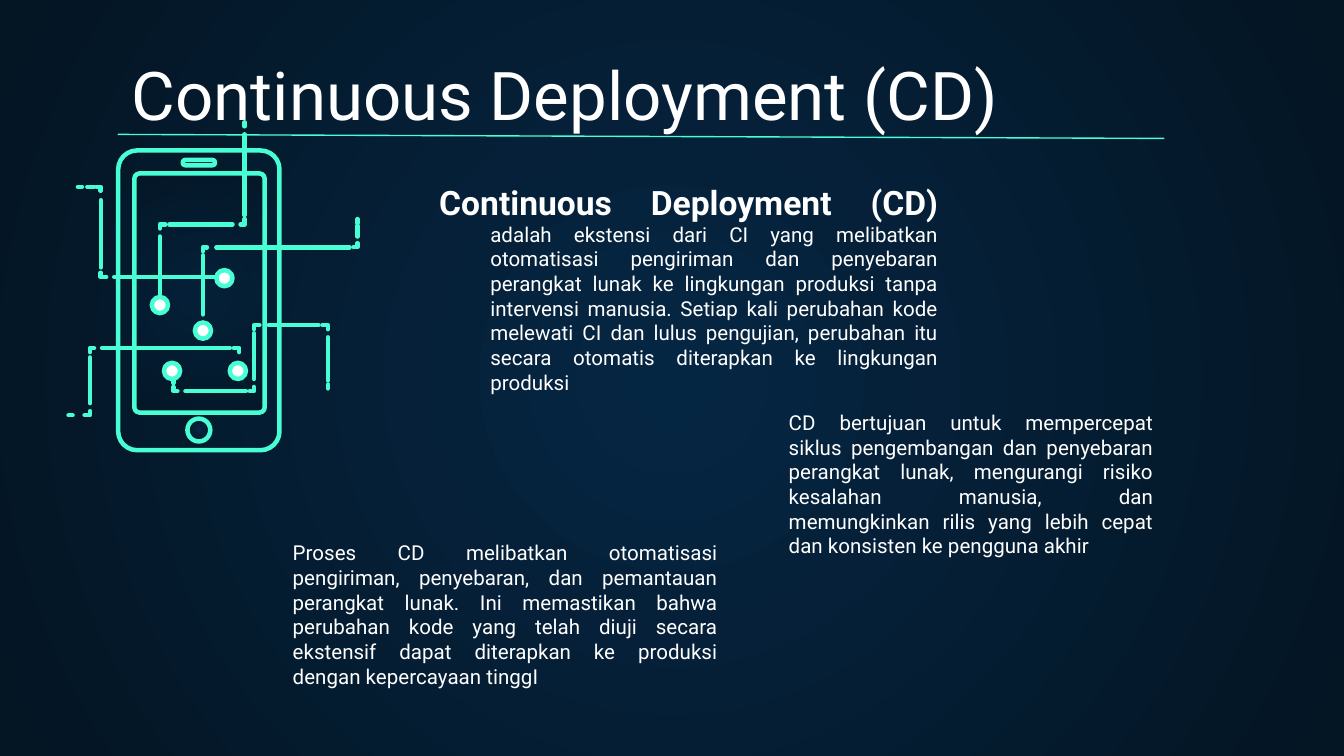
from dataclasses import dataclass

from lxml import etree
from pptx import Presentation
from pptx import util as u
from pptx.dml.color import RGBColor
from pptx.enum import shapes, text
from pptx.oxml.ns import qn


@dataclass(frozen=True)
class Theme:
    """Colours, type sizes and line weights of the slide."""
    font: str = "Roboto"
    ink: str = "FFFFFF"
    neon: str = "48FFD5"
    speaker: str = "161234"
    glow: tuple = ("052643", "041523")
    title: float = 36
    lead: float = 18
    body: float = 11
    rule: float = 0.75
    trace: float = 2.4


def write(paragraph, words, *, theme, size, bold=False):
    """Add a formatted run to a paragraph."""
    run = paragraph.add_run()
    run.text = words
    run.font.name = theme.font
    run.font.size = u.Pt(size)
    run.font.bold = bold
    run.font.color.rgb = RGBColor.from_string(theme.ink)


class Deck:
    """Draws the elements of the current slide in one style."""

    def __init__(self, theme, slide):
        self.theme = theme
        self.slide = slide

    def radial(self, fill, owner, alpha=100):
        """Fill with the glow that spreads from the centre."""
        fill.gradient()
        for stop, colour in zip(fill.gradient_stops, self.theme.glow):
            stop.color.rgb = RGBColor.from_string(colour)
        gradient = next(owner.iter(qn("a:gradFill")))
        for linear in gradient.findall(qn("a:lin")):
            gradient.remove(linear)
        circle = etree.SubElement(gradient, qn("a:path"), path="circle")
        etree.SubElement(circle, qn("a:fillToRect"), dict.fromkeys("ltrb", "50000"))
        if alpha < 100:
            for colour in gradient.iter(qn("a:srgbClr")):
                etree.SubElement(colour, qn("a:alpha"), val=str(alpha * 1000))

    def stroke(self, item, weight):
        """Give an item a neon outline with round ends."""
        item.line.color.rgb = RGBColor.from_string(self.theme.neon)
        item.line.width = u.Pt(weight)
        item.element.spPr.find(qn("a:ln")).set("cap", "rnd")

    def title(self, words, left, top, width, height):
        """Place and fill the title placeholder."""
        heading = self.slide.shapes.title
        heading.left, heading.top = u.Inches(left), u.Inches(top)
        heading.width, heading.height = u.Inches(width), u.Inches(height)
        paragraph = self.frame(heading, text.MSO_ANCHOR.BOTTOM)
        paragraph.alignment = text.PP_ALIGN.LEFT
        write(paragraph, words, theme=self.theme, size=self.theme.title)

    def frame(self, holder, anchor):
        """Set up a text frame and return its first paragraph."""
        body = holder.text_frame
        body.word_wrap = True
        body.auto_size = text.MSO_AUTO_SIZE.NONE
        body.vertical_anchor = anchor
        body.margin_left = body.margin_right = u.Inches(0.1)
        body.margin_top = body.margin_bottom = u.Inches(0.1)
        return body.paragraphs[0]

    def passage(self, words, left, top, width, lead=""):
        """Add a justified paragraph, hanging when it has a bold lead."""
        holder = self.slide.shapes.add_textbox(
            *map(u.Inches, (left, top, width, 1.55)))
        paragraph = self.frame(holder, text.MSO_ANCHOR.TOP)
        paragraph.alignment = text.PP_ALIGN.JUSTIFY
        hang = u.Inches(-0.38) if lead else 0
        properties = paragraph._p.get_or_add_pPr()
        properties.set("marL", str(u.Inches(0.5)))
        properties.set("indent", str(hang))
        if lead:
            write(paragraph, lead, theme=self.theme, size=self.theme.lead, bold=True)
        write(paragraph, words, theme=self.theme, size=self.theme.body)

    def line(self, start, end, weight):
        """Add a straight neon line."""
        stretch = self.slide.shapes.add_connector(
            shapes.MSO_CONNECTOR.STRAIGHT, *map(u.Inches, (*start, *end)))
        self.stroke(stretch, weight)
        etree.SubElement(stretch.element.spPr, qn("a:effectLst"))

    def bend(self, *points):
        """Add an open corner of a circuit trace."""
        start, *others = [(u.Inches(x), u.Inches(y)) for x, y in points]
        builder = self.slide.shapes.build_freeform(*start)
        builder.add_line_segments(others, close=False)
        corner = builder.convert_to_shape()
        corner.shadow.inherit = False
        corner.fill.background()
        self.stroke(corner, self.theme.trace)

    def circuit(self, dashes):
        """Draw the dashes and corners of one circuit trace."""
        for dash in dashes:
            if len(dash) == 2:
                self.line(*dash, self.theme.trace)
            else:
                self.bend(*dash)

    def panel(self, left, top, width, height, radius):
        """Add a rounded outline and return it."""
        outline = self.slide.shapes.add_shape(
            shapes.MSO_SHAPE.ROUNDED_RECTANGLE,
            *map(u.Inches, (left, top, width, height)))
        outline.adjustments[0] = radius / min(width, height)
        outline.shadow.inherit = False
        outline.fill.background()
        self.stroke(outline, self.theme.trace)
        return outline

    def ring(self, x, y, diameter):
        """Add a white circle around a centre and return it."""
        disc = self.slide.shapes.add_shape(
            shapes.MSO_SHAPE.OVAL, u.Inches(x - diameter / 2),
            u.Inches(y - diameter / 2), u.Inches(diameter), u.Inches(diameter))
        disc.shadow.inherit = False
        disc.fill.solid()
        disc.fill.fore_color.rgb = RGBColor.from_string(self.theme.ink)
        self.stroke(disc, self.theme.trace)
        return disc


CIRCUITS = (
    (((1.29, 2.82), (1.29, 2.85)), ((1.29, 2.88), (1.29, 2.91), (1.32, 2.91)),
     ((1.38, 2.91), (1.83, 2.91)), ((1.86, 2.91), (1.89, 2.91), (1.89, 2.88)),
     ((1.89, 2.82), (1.89, 2.48)), ((1.89, 2.45), (1.89, 2.42), (1.93, 2.42)),
     ((2, 2.42), (2.37, 2.42)), ((2.4, 2.42), (2.44, 2.42), (2.44, 2.45)),
     ((2.44, 2.51), (2.44, 2.83)), ((2.44, 2.86), (2.44, 2.89))),
    (((0.58, 1.39), (0.61, 1.39)), ((0.65, 1.39), (0.7, 1.39)),
     ((0.72, 1.39), (0.75, 1.39), (0.75, 1.42)), ((0.75, 1.49), (0.75, 1.99)),
     ((0.75, 2.03), (0.75, 2.06), (0.79, 2.06)), ((0.85, 2.06), (1.6, 2.06)),
     ((1.63, 2.06), (1.66, 2.06))),
    (((0.51, 3.09), (0.54, 3.09)), ((0.63, 3.09), (0.67, 3.09), (0.67, 3.06)),
     ((0.67, 3), (0.67, 2.66)), ((0.67, 2.62), (0.67, 2.59), (0.7, 2.59)),
     ((0.76, 2.59), (1.71, 2.59)), ((1.74, 2.59), (1.78, 2.59), (1.78, 2.62)),
     ((1.78, 2.71), (1.78, 2.74))),
    (((1.51, 2.44), (1.51, 2.4)), ((1.51, 2.34), (1.51, 1.9)),
     ((1.51, 1.87), (1.51, 1.84), (1.54, 1.84)), ((1.61, 1.84), (2.6, 1.84)),
     ((2.63, 1.84), (2.66, 1.84), (2.66, 1.81)), ((2.66, 1.76), (2.66, 1.68)),
     ((2.66, 1.66), (2.66, 1.63))),
    (((1.82, 0.91), (1.82, 0.94)), ((1.82, 1), (1.82, 1.6)),
     ((1.82, 1.63), (1.82, 1.67), (1.79, 1.67)), ((1.73, 1.67), (1.26, 1.67)),
     ((1.23, 1.67), (1.19, 1.67), (1.19, 1.7)), ((1.19, 1.76), (1.19, 2.21)),
     ((1.19, 2.24), (1.19, 2.27))),
)
NODES = ((1.28, 2.76), (1.67, 2.07), (1.77, 2.76), (1.51, 2.46), (1.19, 2.27))


def main():
    """Build the slide and save it."""
    show = Presentation()
    show.slide_width, show.slide_height = u.Inches(10), u.Inches(10 * 9 / 16)
    theme = Theme()
    deck = Deck(theme, show.slides.add_slide(show.slide_layouts[5]))
    deck.radial(deck.slide.background.fill, deck.slide.element)
    deck.title("Continuous Deployment (CD)", 0.88, 0.44, 7.3, 0.66)
    deck.line((0.88, 1), (8.66, 1.03), theme.rule)

    deck.panel(0.88, 1.12, 1.2, 2.23, 0.14)
    screen = deck.panel(1, 1.29, 0.97, 1.78, 0.04)
    deck.radial(screen.fill, screen.element, alpha=53)
    button = deck.ring(1.48, 3.2, 0.17)
    deck.radial(button.fill, button.element)
    speaker = deck.panel(1.36, 1.19, 0.24, 0.04, 0.02)
    speaker.fill.solid()
    speaker.fill.fore_color.rgb = RGBColor.from_string(theme.speaker)
    for dashes, node in zip(CIRCUITS, NODES):
        deck.circuit(dashes)
        deck.ring(*node, 0.12)

    deck.passage("adalah ekstensi dari CI yang melibatkan otomatisasi pengiriman dan penyebaran perangkat lunak ke lingkungan produksi tanpa intervensi manusia. Setiap kali perubahan kode melewati CI dan lulus pengujian, perubahan itu secara otomatis diterapkan ke lingkungan produksi", 3.05, 1.25, 4.03, lead="Continuous Deployment (CD) ")
    deck.passage("Proses CD melibatkan otomatisasi pengiriman, penyebaran, dan pemantauan perangkat lunak. Ini memastikan bahwa perubahan kode yang telah diuji secara ekstensif dapat diterapkan ke produksi dengan kepercayaan tinggI", 1.58, 3.92, 3.86)
    deck.passage("CD bertujuan untuk mempercepat siklus pengembangan dan penyebaran perangkat lunak, mengurangi risiko kesalahan manusia, dan memungkinkan rilis yang lebih cepat dan konsisten ke pengguna akhir", 5.27, 2.95, 3.41)
    show.save("out.pptx")


if __name__ == "__main__":
    main()
